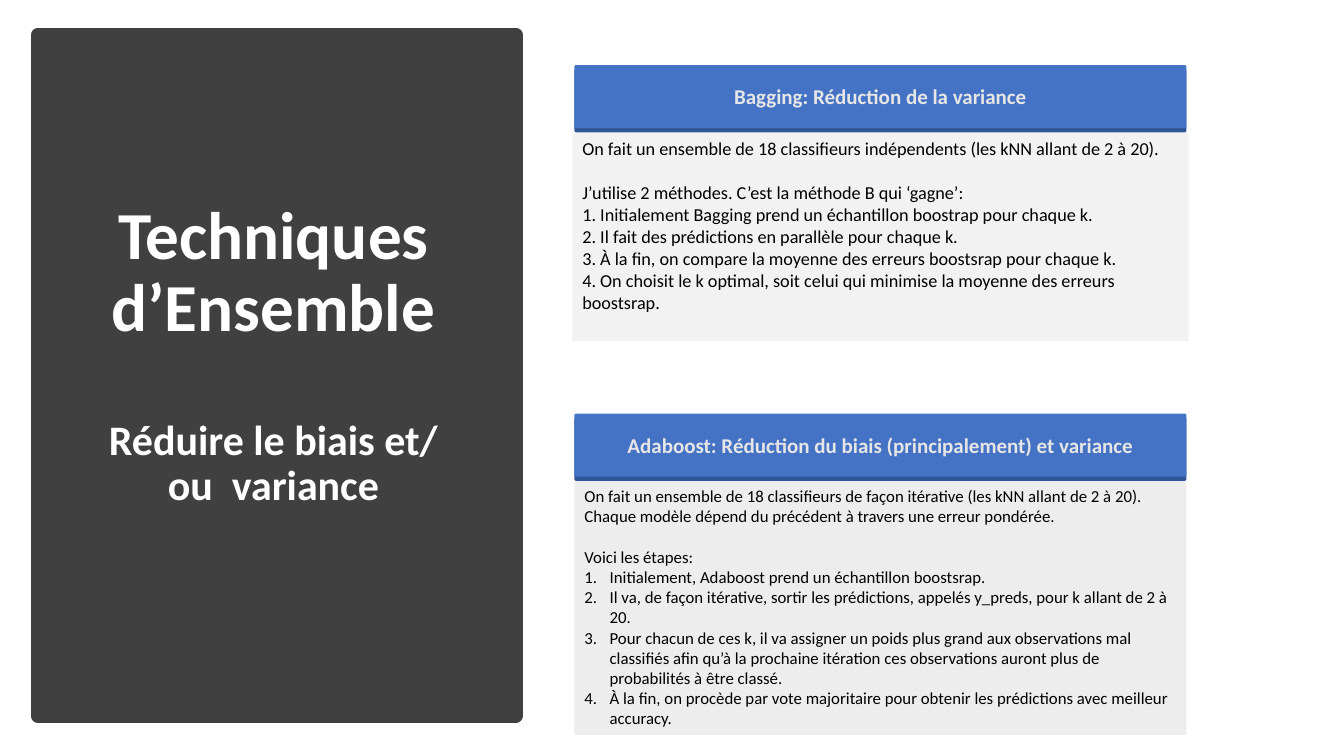
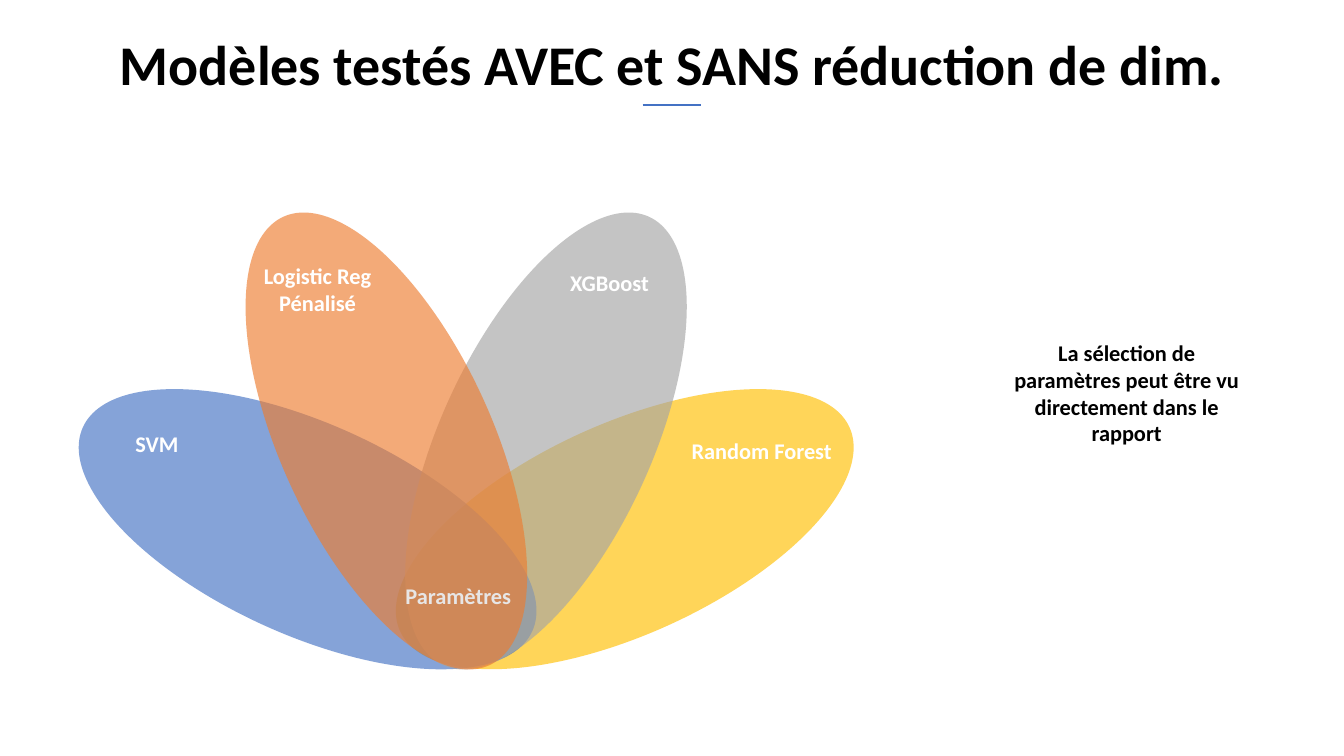
from lxml import etree
from pptx import Presentation
from pptx.dml.color import RGBColor
from pptx.enum.shapes import MSO_CONNECTOR, MSO_SHAPE
from pptx.enum.text import MSO_ANCHOR, MSO_AUTO_SIZE, PP_ALIGN
from pptx.oxml.ns import qn
from pptx.util import Emu, Pt

RECT, ROUNDED, ELLIPSE = MSO_SHAPE.RECTANGLE, MSO_SHAPE.ROUNDED_RECTANGLE, MSO_SHAPE.OVAL
STRAIGHT = MSO_CONNECTOR.STRAIGHT
TOP, MIDDLE = MSO_ANCHOR.TOP, MSO_ANCHOR.MIDDLE
LEFT, CENTER = PP_ALIGN.LEFT, PP_ALIGN.CENTER
NO_FIT = MSO_AUTO_SIZE.NONE

FONT = "Calibri"
BLACK = RGBColor(0x00, 0x00, 0x00)
WHITE = RGBColor(0xFF, 0xFF, 0xFF)
CHARCOAL = RGBColor(0x40, 0x40, 0x40)
PALE = RGBColor(0xED, 0xED, 0xED)
LIGHT = RGBColor(0xE7, 0xE6, 0xE6)
BLUE = RGBColor(0x44, 0x72, 0xC4)
NAVY = RGBColor(0x2F, 0x55, 0x97)
ORANGE = RGBColor(0xED, 0x7D, 0x31)
GRAY = RGBColor(0xA5, 0xA5, 0xA5)
GOLD = RGBColor(0xFF, 0xC0, 0x00)

SLIDE_W, SLIDE_H = 1280, 720
TITLE_ONLY, TWO_CONTENT = 5, 3

ENSEMBLE_TITLE = [("Techniques d’Ensemble", 48, 0), ("Réduire le biais et/ ou  variance", 30, 52)]
PANEL = (36, 33, 455, 649)
BAR_X, BAR_W, BAR_H, BAR_EDGE, BODY_DROP = 547, 583, 60, 4, 64
CARDS = [
    {
        "heading": "Bagging: Réduction de la variance",
        "top": 62, "height": 199, "overhang": 2, "opacity": 69, "size": 13, "gap": 16,
        "intro": "On fait un ensemble de 18 classifieurs indépendents (les kNN allant de 2 à 20).",
        "lead": "J’utilise 2 méthodes. C’est la méthode B qui ‘gagne’:",
        "numbered": False,
        "steps": [
            "1. Initialement Bagging prend un échantillon boostrap pour chaque k.",
            "2. Il fait des prédictions en parallèle pour chaque k.",
            "3. À la fin, on compare la moyenne des erreurs boostsrap pour chaque k.",
            "4. On choisit le k optimal, soit celui qui minimise la moyenne des erreurs boostsrap.",
        ],
    },
    {
        "heading": "Adaboost: Réduction du biais (principalement) et variance",
        "top": 394, "height": 242, "overhang": 0, "opacity": 100, "size": 12, "gap": 14.5,
        "intro": "On fait un ensemble de 18 classifieurs de façon itérative (les kNN allant de 2 à 20). "
                 "Chaque modèle dépend du précédent à travers une erreur pondérée.",
        "lead": "Voici les étapes:",
        "numbered": True,
        "steps": [
            "Initialement, Adaboost prend un échantillon boostsrap.",
            "Il va, de façon itérative, sortir les prédictions, appelés y_preds, pour k allant de 2 à 20.",
            "Pour chacun de ces k, il va assigner un poids plus grand aux observations mal classifiés "
            "afin qu’à la prochaine itération ces observations auront plus de probabilités à être classé.",
            "À la fin, on procède par vote majoritaire pour obtenir les prédictions avec meilleur accuracy.",
        ],
    },
]

MODELS_TITLE = [("Modèles testés AVEC et SANS réduction de dim.", 40, 0)]
PETAL_W, PETAL_H, PETAL_AXIS, PETAL_OPACITY = 201, 470, 444, 65
PETALS = [
    (151, 269, 65.6, GOLD),
    (-151, 269, -65.6, BLUE),
    (76, 185, 24.7, GRAY),
    (-76, 185, -24.7, ORANGE),
]
LABELS = [
    ("Random Forest", (616, 403, 219, 52), WHITE),
    ("XGBoost", (471, 243, 219, 52), WHITE),
    ("Logistic Reg Pénalisé", (193, 236, 219, 78), WHITE),
    ("SVM", (40, 396, 219, 52), WHITE),
    ("Paramètres", (327, 541, 219, 52), LIGHT),
    ("La sélection de paramètres peut être vu directement dans le rapport", (935, 309, 276, 130), BLACK),
]


def px(value):
    return Emu(round(value * 9525))


def place(shape, box):
    shape.left, shape.top, shape.width, shape.height = map(px, box)


def paint(shape, color, opacity=100):
    shape.fill.solid()
    shape.fill.fore_color.rgb = color
    if opacity < 100:
        srgb = shape.fill._xPr.find(qn("a:solidFill")).find(qn("a:srgbClr"))
        etree.SubElement(srgb, qn("a:alpha"), val=str(opacity * 1000))


def add_block(slide, kind, box, color, opacity=100):
    block = slide.shapes.add_shape(kind, *map(px, box))
    block.shadow.inherit = False
    paint(block, color, opacity)
    block.line.fill.background()
    return block


def write(frame, lines, color, bold=True, align=CENTER, anchor=MIDDLE, spacing=None):
    frame.word_wrap = True
    frame.auto_size = NO_FIT
    frame.vertical_anchor = anchor
    for i, (text, size, before) in enumerate(lines):
        paragraph = frame.add_paragraph() if i else frame.paragraphs[0]
        paragraph.text = text
        paragraph.alignment = align
        paragraph.space_before = Pt(before)
        paragraph.line_spacing = spacing
        font = paragraph.font
        font.name, font.size, font.bold = FONT, Pt(size), bold
        font.color.rgb = color


def set_title(slide, lines, box, color):
    place(slide.shapes.title, box)
    write(slide.shapes.title.text_frame, lines, color, spacing=0.9)


def set_list_style(paragraph, numbered):
    props = paragraph._p.get_or_add_pPr()
    hang = px(24) if numbered else 0
    props.set("marL", str(hang))
    props.set("indent", str(-hang))
    if numbered:
        etree.SubElement(props, qn("a:buFont"), typeface="+mj-lt")
        bullet = etree.SubElement(props, qn("a:buAutoNum"), type="arabicPeriod")
    else:
        bullet = etree.SubElement(props, qn("a:buNone"))
    run_defaults = props.find(qn("a:defRPr"))
    if run_defaults is not None:
        props.remove(run_defaults)
        bullet.addnext(run_defaults)


def add_card(slide, body, card):
    top, size, overhang = card["top"], card["size"], card["overhang"]
    place(body, (BAR_X - overhang, top + BODY_DROP, BAR_W + 2 * overhang, card["height"]))
    paint(body, PALE, card["opacity"])
    lines = [(card["intro"], size, 0), (card["lead"], size, card["gap"])]
    lines += [(step, size, 0) for step in card["steps"]]
    write(body.text_frame, lines, BLACK, bold=False, align=LEFT, anchor=TOP)
    for i, paragraph in enumerate(body.text_frame.paragraphs):
        set_list_style(paragraph, card["numbered"] and i >= 2)
    for offset, color in ((BAR_EDGE, NAVY), (0, BLUE)):
        bar = add_block(slide, ROUNDED, (BAR_X, top + offset, BAR_W, BAR_H), color)
        bar.adjustments[0] = 0.03
    write(bar.text_frame, [(card["heading"], 15, 0)], LIGHT)


def build_ensemble(prs):
    slide = prs.slides.add_slide(prs.slide_layouts[TWO_CONTENT])
    panel = add_block(slide, RECT, PANEL, CHARCOAL)
    panel.line.color.rgb = CHARCOAL
    panel.line.width = Pt(10)
    slide.shapes.title._element.addprevious(panel._element)
    set_title(slide, ENSEMBLE_TITLE, (78, 78, 365, 521), WHITE)
    bodies = [holder for holder in slide.placeholders if holder.placeholder_format.idx in (1, 2)]
    for body, card in zip(bodies, CARDS):
        add_card(slide, body, card)


def build_models(prs):
    slide = prs.slides.add_slide(prs.slide_layouts[TITLE_ONLY])
    set_title(slide, MODELS_TITLE, (88, 19, 1104, 90), BLACK)
    rule = slide.shapes.add_connector(STRAIGHT, px(612), px(100), px(668), px(100))
    rule.line.color.rgb = BLUE
    rule.line.width = Pt(2)
    etree.SubElement(rule._element.spPr, qn("a:effectLst"))
    for offset, top, angle, color in PETALS:
        left = PETAL_AXIS + offset - PETAL_W / 2
        petal = add_block(slide, ELLIPSE, (left, top, PETAL_W, PETAL_H), color, PETAL_OPACITY)
        petal.rotation = angle % 360
    for text, box, color in LABELS:
        frame = slide.shapes.add_textbox(*map(px, box)).text_frame
        frame.margin_left = frame.margin_right = px(26)
        frame.margin_top = frame.margin_bottom = px(12)
        write(frame, [(text, 16, 0)], color)


def main():
    prs = Presentation()
    prs.slide_width, prs.slide_height = px(SLIDE_W), px(SLIDE_H)
    build_ensemble(prs)
    build_models(prs)
    prs.save("out.pptx")


if __name__ == "__main__":
    main()
